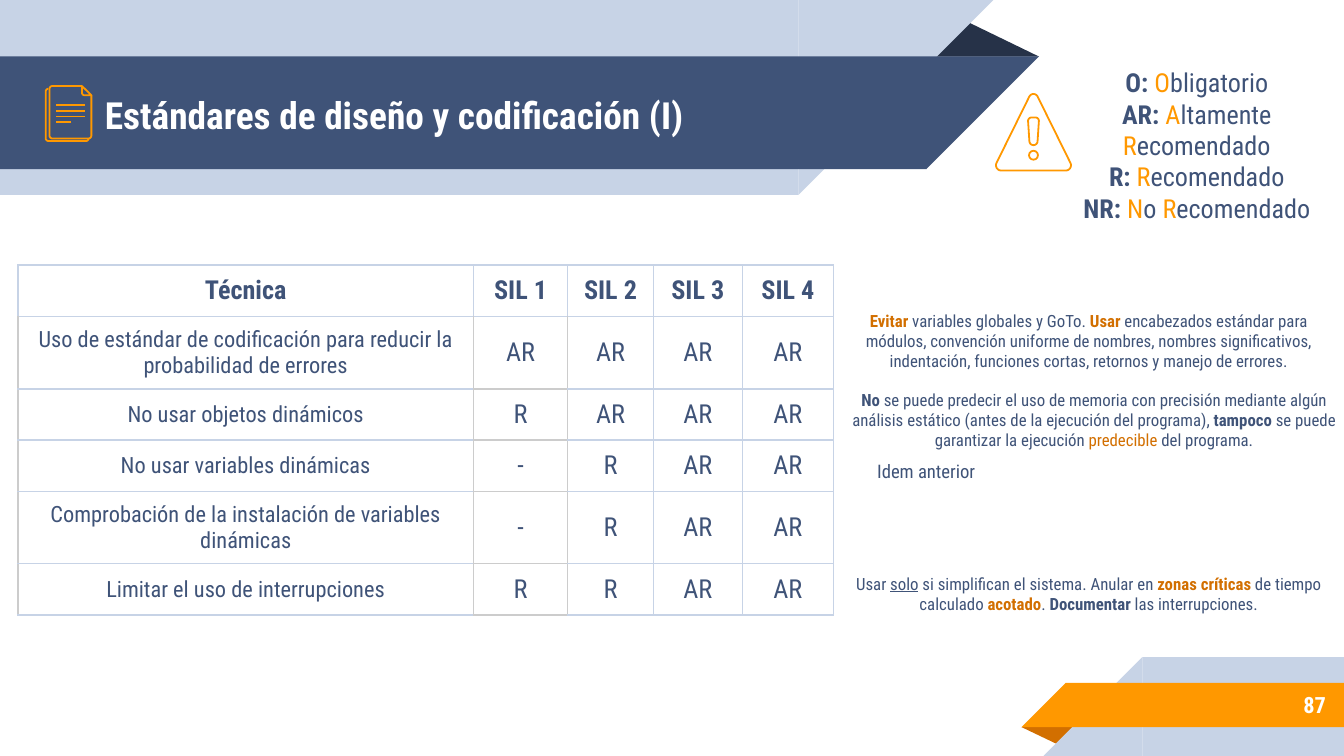
import math

import lxml.etree
import pptx
import pptx.dml.color
import pptx.enum.shapes
import pptx.enum.text
import pptx.oxml.ns
import pptx.util

Pt = pptx.util.Pt
RGB = pptx.dml.color.RGBColor
SHAPE = pptx.enum.shapes.MSO_SHAPE
ALIGN = pptx.enum.text.PP_ALIGN
ANCHOR = pptx.enum.text.MSO_ANCHOR
qn = pptx.oxml.ns.qn

FONT = "Roboto Condensed"
WHITE = RGB(0xFF, 0xFF, 0xFF)
NAVY = RGB(0x3F, 0x53, 0x78)
DARK = RGB(0x26, 0x32, 0x48)
PALE = RGB(0xC7, 0xD3, 0xE6)
GREY = RGB(0xCC, 0xCC, 0xCC)
ORANGE = RGB(0xFF, 0x98, 0x00)
RUST = RGB(0xD2, 0x6F, 0x00)

# Content: a run is (text, colour, style), with b for bold and u for underline
TITLE = "Estándares de diseño y codificación (I)"
PAGE = "87"
HEADER = ["Técnica", "SIL 1", "SIL 2", "SIL 3", "SIL 4"]
TECHNIQUES = [
    ["Uso de estándar de codificación para reducir la probabilidad de errores",
     "AR", "AR", "AR", "AR"],
    ["No usar objetos dinámicos", "R", "AR", "AR", "AR"],
    ["No usar variables dinámicas", "-", "R", "AR", "AR"],
    ["Comprobación de la instalación de variables dinámicas", "-", "R", "AR", "AR"],
    ["Limitar el uso de interrupciones", "R", "R", "AR", "AR"],
]
LEGEND = [
    [("O: ", NAVY, "b"), ("O", ORANGE, ""), ("bligatorio", NAVY, "")],
    [("AR: ", NAVY, "b"), ("A", ORANGE, ""), ("ltamente ", NAVY, ""),
     ("R", ORANGE, ""), ("ecomendado", NAVY, "")],
    [("R: ", NAVY, "b"), ("R", ORANGE, ""), ("ecomendado", NAVY, "")],
    [("NR: ", NAVY, "b"), ("N", ORANGE, ""), ("o ", NAVY, ""),
     ("R", ORANGE, ""), ("ecomendado", NAVY, "")],
]
CODING_NOTE = [
    ("Evitar ", RUST, "b"), ("variables globales y GoTo. ", NAVY, ""), ("Usar", RUST, "b"),
    (" encabezados estándar para módulos, convención uniforme de nombres, nombres "
     "significativos, indentación, funciones cortas, retornos y manejo de errores.", NAVY, ""),
]
OBJECTS_NOTE = [
    ("No", NAVY, "b"),
    (" se puede predecir el uso de memoria con precisión mediante algún análisis estático "
     "(antes de la ejecución del programa), ", NAVY, ""),
    ("tampoco", NAVY, "b"), (" se puede garantizar la ejecución ", NAVY, ""),
    ("predecible", RUST, ""), (" del programa.", NAVY, ""),
]
INTERRUPTS_NOTE = [
    ("Usar ", NAVY, ""), ("solo", NAVY, "u"), (" si simplifican el sistema. Anular en ", NAVY, ""),
    ("zonas críticas", RUST, "b"), (" de tiempo calculado ", NAVY, ""), ("acotado", RUST, "b"),
    (". ", NAVY, ""), ("Documentar", NAVY, "b"), (" las interrupciones.", NAVY, ""),
]
# Text boxes: left, top, width, height, size, alignment, paragraphs
TEXTS = [
    (600, 365, 117.4, 25.2, 12, ALIGN.RIGHT, [[(PAGE, WHITE, "b")]]),
    (562.3, 32, 157.7, 91.4, 14, ALIGN.CENTER, LEGEND),
    (446.4, 162, 273.6, 41, 9, ALIGN.CENTER, [CODING_NOTE]),
    (449.3, 208.8, 273.6, 32.4, 9, ALIGN.CENTER, [OBJECTS_NOTE]),
    (446.4, 236.2, 99.4, 32.4, 10, ALIGN.CENTER, [[("Idem anterior", NAVY, "")]]),
    (446.4, 305.3, 273.6, 25.2, 9, ALIGN.CENTER, [INTERRUPTS_NOTE]),
]
# Ribbons: preset, left, top, width, height, colour, rotation, mirrored
RIBBONS = [
    (SHAPE.ISOSCELES_TRIANGLE, 495.4, 10.1, 61.2, 20.2, DARK, 0, False),
    (SHAPE.RECTANGLE, 0, 0, 427.7, 104.4, PALE, 0, False),
    (SHAPE.RIGHT_TRIANGLE, 427.7, 0, 104.4, 104.4, PALE, 180, True),
    (SHAPE.RECTANGLE, 0, 30.2, 496.1, 60.5, NAVY, 0, False),
    (SHAPE.RIGHT_TRIANGLE, 496.1, 30.2, 60.5, 60.5, NAVY, 180, True),
    (SHAPE.ISOSCELES_TRIANGLE, 547.2, 389.5, 31, 10.1, RUST, 180, False),
    (SHAPE.RECTANGLE, 612, 352.1, 108, 52.9, PALE, 0, False),
    (SHAPE.RIGHT_TRIANGLE, 559.1, 352.1, 52.9, 52.9, PALE, 0, True),
    (SHAPE.RECTANGLE, 571, 365.8, 149, 23.8, ORANGE, 0, False),
    (SHAPE.RIGHT_TRIANGLE, 547.2, 365.8, 23.8, 23.8, ORANGE, 0, True),
]


def add_runs(paragraph, runs, size):
    for text, colour, style in runs:
        run = paragraph.add_run()
        run.text = text
        run.font.name = FONT
        run.font.size = Pt(size)
        run.font.color.rgb = colour
        run.font.bold = "b" in style
        run.font.underline = "u" in style


def fill_frame(frame, paragraphs, size, align):
    frame.word_wrap = True
    frame.auto_size = pptx.enum.text.MSO_AUTO_SIZE.NONE
    frame.vertical_anchor = ANCHOR.MIDDLE
    frame.margin_left = frame.margin_right = Pt(7.2)
    frame.margin_top = frame.margin_bottom = Pt(7.2)
    for i, runs in enumerate(paragraphs):
        paragraph = frame.add_paragraph() if i else frame.paragraphs[0]
        paragraph.alignment = align
        add_runs(paragraph, runs, size)


def arc(x, y, radius, start, end):
    """Points of an arc, in degrees clockwise from the right."""
    angles = [math.radians(start + (end - start) * i / 12) for i in range(13)]
    return [(x + radius * math.cos(a), y + radius * math.sin(a)) for a in angles]


def add_outline(shapes, contours, close):
    scaled = [[(x * 100, y * 100) for x, y in contour] for contour in contours]
    builder = shapes.build_freeform(*scaled[0][0], scale=Pt(1) / 100)
    for i, contour in enumerate(scaled):
        if i:
            builder.move_to(*contour[0])
        builder.add_line_segments(contour[1:], close=close)
    outline = builder.convert_to_shape()
    outline.fill.background()
    outline.line.color.rgb = ORANGE
    outline.line.width = Pt(0.96)
    outline.shadow.inherit = False


def set_borders(cell, colours):
    properties = cell._tc.get_or_add_tcPr()
    for i, (side, colour) in enumerate(zip(("lnL", "lnR", "lnT", "lnB"), colours)):
        border = lxml.etree.Element(qn("a:" + side), w=str(Pt(0.75)))
        fill = lxml.etree.SubElement(border, qn("a:solidFill"))
        lxml.etree.SubElement(fill, qn("a:srgbClr"), val=str(colour))
        properties.insert(i, border)


deck = pptx.Presentation()
deck.slide_width, deck.slide_height = Pt(720), Pt(405)
slide = deck.slides.add_slide(deck.slide_layouts[5])
shapes = slide.shapes

# Ribbons at the top and the bottom
for preset, left, top, width, height, colour, rotation, mirrored in RIBBONS:
    ribbon = shapes.add_shape(preset, Pt(left), Pt(top), Pt(width), Pt(height))
    ribbon.fill.solid()
    ribbon.fill.fore_color.rgb = colour
    ribbon.line.fill.background()
    ribbon.shadow.inherit = False
    ribbon.rotation = rotation
    if preset == SHAPE.ISOSCELES_TRIANGLE:
        ribbon.adjustments[0] = 0.32
    if mirrored:
        ribbon._element.spPr.find(qn("a:xfrm")).set("flipH", "1")

# Title, brought in front of the ribbons
title = shapes.title
title.left, title.top, title.width, title.height = Pt(49), Pt(31), Pt(463), Pt(60.5)
fill_frame(title.text_frame, [[(TITLE, WHITE, "b")]], 20, ALIGN.LEFT)
shapes._spTree.append(title._element)

# Document icon: back sheet, front sheet, folded corner, text lines
add_outline(shapes, [arc(46, 74.1, 1.5, 0, 90) + arc(26, 74.1, 1.5, 90, 180)
                     + arc(26, 49.1, 1.5, 180, 270)], False)
add_outline(shapes, [[(49, 51.1)] + arc(47.5, 72.7, 1.5, 0, 90) + arc(28.1, 72.7, 1.5, 90, 180)
                     + arc(28.1, 47.6, 1.5, 180, 270) + [(43.9, 46.1)]], False)
add_outline(shapes, [[(43.9, 46.1), (49, 51.1)] + arc(45.4, 49.6, 1.5, 90, 180)], True)
for i, right in enumerate([45.4, 45.4, 45.4, 38.2]):
    y = Pt(56.2 + 3.1 * i)
    text_line = shapes.add_connector(pptx.enum.shapes.MSO_CONNECTOR.STRAIGHT,
                                     Pt(right), y, Pt(30.2), y)
    text_line.line.color.rgb = ORANGE
    text_line.line.width = Pt(0.96)
    lxml.etree.SubElement(text_line._element.spPr, qn("a:effectLst"))

# Warning icon: triangle, dot, bar
add_outline(shapes, [
    arc(553.7, 52.9, 2.5, 207, 333) + arc(571, 88.6, 2.8, -27, 90) + arc(536.4, 88.6, 2.8, 90, 207),
    arc(553.7, 83.2, 2.4, 0, 360),
    arc(553.7, 75.6, 2.2, 0, 180) + arc(552.6, 64.8, 1.8, 180, 270)
    + arc(554.8, 64.8, 1.8, 270, 360),
], True)

# Table of techniques
COLUMN_WIDTHS = [244.1, 50.4, 46, 47.6, 48.9]
ROW_HEIGHTS = [27.4, 39, 27.4, 27.4, 39, 27.4]
table = shapes.add_table(len(ROW_HEIGHTS), len(COLUMN_WIDTHS), Pt(9.6), Pt(142),
                         Pt(sum(COLUMN_WIDTHS)), Pt(sum(ROW_HEIGHTS))).table
table.first_row = table.horz_banding = False
for column, width in zip(table.columns, COLUMN_WIDTHS):
    column.width = Pt(width)
for r, (height, row) in enumerate(zip(ROW_HEIGHTS, [HEADER] + TECHNIQUES)):
    table.rows[r].height = Pt(height)
    for c, text in enumerate(row):
        cell = table.cell(r, c)
        cell.vertical_anchor = ANCHOR.MIDDLE
        cell.margin_left = cell.margin_right = Pt(7.2)
        cell.margin_top = cell.margin_bottom = Pt(5)
        cell.fill.solid()
        cell.fill.fore_color.rgb = WHITE
        paragraph = cell.text_frame.paragraphs[0]
        paragraph.alignment = ALIGN.CENTER
        add_runs(paragraph, [(text, NAVY, "" if r else "b")], 12 if r and c == 0 else 14)
        set_borders(cell, [GREY if r and c <= 2 else PALE, GREY if r and c <= 1 else PALE,
                           GREY if r > 1 and c == 1 else PALE, GREY if r and c == 1 else PALE])

# Page number, legend and side notes
for left, top, width, height, size, align, paragraphs in TEXTS:
    box = shapes.add_textbox(Pt(left), Pt(top), Pt(width), Pt(height))
    fill_frame(box.text_frame, paragraphs, size, align)

deck.save("out.pptx")
